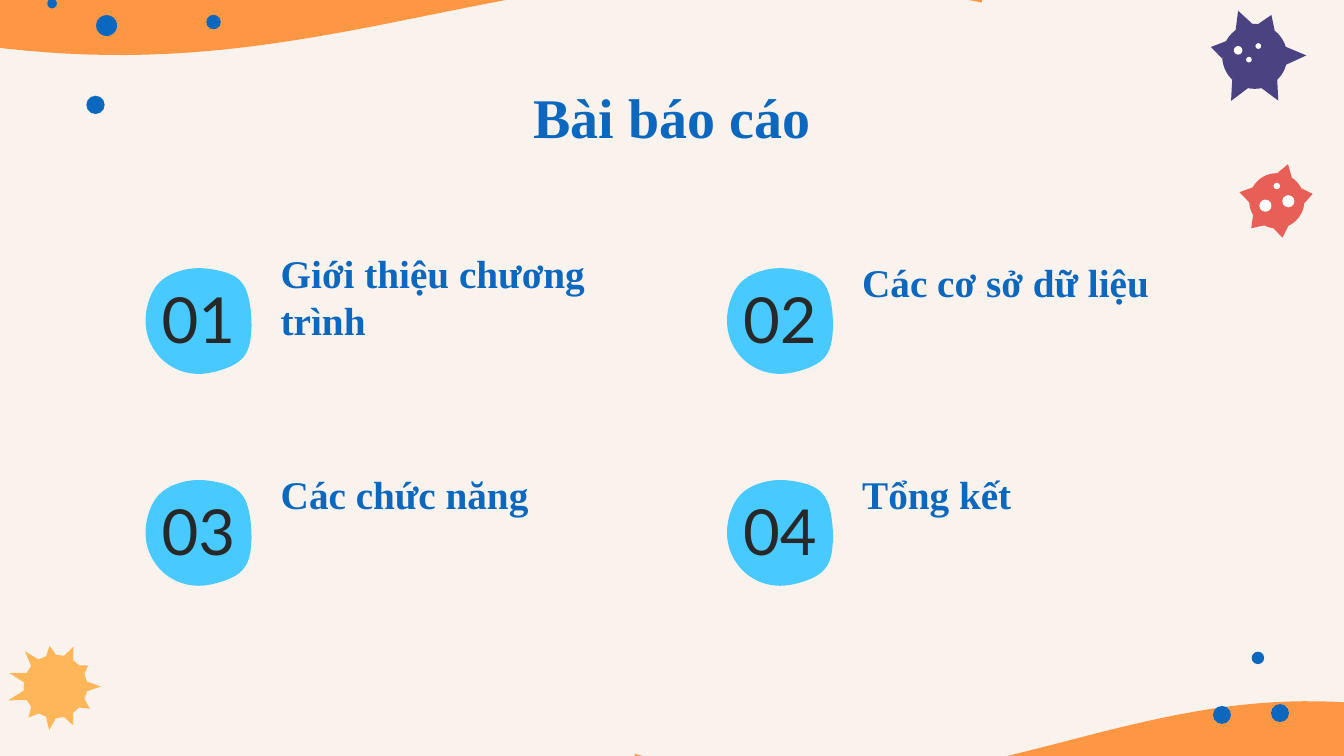
from dataclasses import dataclass
from math import cos, exp, pi, radians, sin

from pptx import Presentation
from pptx.dml.color import RGBColor
from pptx.enum.shapes import MSO_SHAPE as Preset
from pptx.enum.text import MSO_ANCHOR as Anchor, MSO_AUTO_SIZE as AutoSize, PP_ALIGN as Align
from pptx.util import Pt


@dataclass(frozen=True)
class Theme:
    """Colours, fonts and type sizes of the slide."""
    cream: str = "FAF2EC"
    orange: str = "FE9744"
    yellow: str = "FFB659"
    purple: str = "4B4381"
    red: str = "E85F57"
    white: str = "FFFFFF"
    sky: str = "48C9FF"
    blue: str = "0B68BE"
    ink: str = "292828"
    heading_font: str = "Times New Roman"
    number_font: str = "Lato"
    title_size: float = 30
    label_size: float = 21
    number_size: float = 34


theme = Theme()


def polar(center, radius, degrees):
    """Return the point at a distance and clockwise angle from a center."""
    angle = radians(degrees)
    return center[0] + radius * cos(angle), center[1] + radius * sin(angle)


def write(shape, text, box, size, font=theme.heading_font, color=theme.blue, bold=True, align=Align.LEFT):
    """Place a text shape and fill it with one formatted paragraph."""
    shape.left, shape.top, shape.width, shape.height = map(Pt, box)
    frame = shape.text_frame
    frame.word_wrap = True
    frame.auto_size = AutoSize.NONE
    frame.vertical_anchor = Anchor.MIDDLE
    frame.margin_left = frame.margin_right = frame.margin_top = frame.margin_bottom = Pt(7.2)
    paragraph = frame.paragraphs[0]
    paragraph.alignment = align
    run = paragraph.add_run()
    run.text = text
    run.font.name, run.font.size, run.font.bold = font, Pt(size), bold
    run.font.color.rgb = RGBColor.from_string(color)


presentation = Presentation()
presentation.slide_width, presentation.slide_height = Pt(720), Pt(405)
slide = presentation.slides.add_slide(presentation.slide_layouts[5])
slide.background.fill.solid()
slide.background.fill.fore_color.rgb = RGBColor.from_string(theme.cream)

outlines = []  # (color, corner points)
discs = []  # (color, center, diameter)

# Waves: a cosine edge, closed by a straight side beyond the slide.
waves = [
    dict(left=-114, right=526, outer=-32, crest=64, half_length=331, middle=8.2, height=21.3),
    dict(left=340, right=840, outer=437, crest=701, half_length=259, middle=397, height=-21.3),
]
wave_steps = 60
for wave in waves:
    left, right = wave["left"], wave["right"]
    edge = []
    for step in range(wave_steps + 1):
        x = left + (right - left) * step / wave_steps
        phase = pi * (x - wave["crest"]) / wave["half_length"]
        edge.append((x, wave["middle"] + wave["height"] * cos(phase)))
    outlines.append((theme.orange, edge + [(right, wave["outer"]), (left, wave["outer"])]))

# Sun: equally spaced rays of uneven reach around a round body.
sun_center, sun_radius, ray_half_width = (29.7, 367.8), 17, 9
ray_reaches = [24.3, 22, 22.9, 23.6, 22.1, 26.4, 25.7, 25, 22, 23.4, 20.8]
sun_outline = []
for index, reach in enumerate(ray_reaches):
    angle = index * 360 / len(ray_reaches)
    sun_outline += [
        polar(sun_center, sun_radius, angle - ray_half_width),
        polar(sun_center, reach, angle),
        polar(sun_center, sun_radius, angle + ray_half_width),
    ]
outlines.append((theme.yellow, sun_outline))

# Germs: a disc with pointed spikes (angle, reach) and white spots (offset x, offset y, diameter).
germs = [
    dict(color=theme.purple, center=(672.2, 30.2), radius=17.4,
         spikes=[(-1, 27.6), (62, 26.9), (118, 27), (192, 24), (250, 26), (292, 23.9)],
         spots=[(-8.9, -3.2, 4.6), (1.9, -5.5, 3), (-3.1, 1.8, 3)]),
    dict(color=theme.red, center=(684, 107.6), radius=14.8,
         spikes=[(-11, 19.6), (81, 20), (133, 20.1), (193, 20.5), (287, 20.5)],
         spots=[(-6.1, 2.6, 6.5), (6.2, 0.2, 6.5), (0, -7.9, 3.4)]),
]
spike_half_width = 16
for germ in germs:
    center, radius = germ["center"], germ["radius"]
    for angle, reach in germ["spikes"]:
        outlines.append((germ["color"], [
            polar(center, radius, angle - spike_half_width),
            polar(center, reach, angle),
            polar(center, radius, angle + spike_half_width),
        ]))
    discs.append((germ["color"], center, 2 * radius))
    for dx, dy, diameter in germ["spots"]:
        discs.append((theme.white, (center[0] + dx, center[1] + dy), diameter))

# Blobs: a circle that swells softly at three corners (angle, swell), one per section.
column_pitch, row_pitch = 311.5, 113.5
cells = [(column * column_pitch, row * row_pitch) for row in range(2) for column in range(2)]
blob_radius, swell_width = 28.3, 22
blob_corners = [(38, 2.6), (225, 1.1), (316, 2.8)]
for x, y in cells:
    blob = []
    for angle in range(0, 360, 5):
        swell = sum(size * exp(-((angle - corner) / swell_width) ** 2) for corner, size in blob_corners)
        blob.append(polar((106.3 + x, 172 + y), blob_radius + swell, angle))
    outlines.append((theme.sky, blob))

# Loose dots: center x, center y, diameter.
loose_dots = [
    (27.9, 1.9, 5.2), (57.1, 13.7, 11.2), (114.4, 11.8, 7.8), (51.2, 56.2, 9.8),
    (673.9, 352.5, 6.7), (654.6, 383, 9.6), (685.7, 382, 9.6),
]
discs += [(theme.blue, (x, y), diameter) for x, y, diameter in loose_dots]

# Draw outlines behind discs, then paint everything alike.
painted = []
for color, points in outlines:
    corners = [(Pt(x), Pt(y)) for x, y in points]
    builder = slide.shapes.build_freeform(*corners[0])
    builder.add_line_segments(corners[1:], close=True)
    painted.append((builder.convert_to_shape(), color))
for color, (x, y), diameter in discs:
    corner = Pt(x - diameter / 2), Pt(y - diameter / 2)
    painted.append((slide.shapes.add_shape(Preset.OVAL, *corner, Pt(diameter), Pt(diameter)), color))
for shape, color in painted:
    shape.shadow.inherit = False
    shape.fill.solid()
    shape.fill.fore_color.rgb = RGBColor.from_string(color)
    shape.line.fill.background()

# Title and numbered sections.
write(slide.shapes.title, "Bài báo cáo", (101.5, 42.5, 517, 39.6), theme.title_size, align=Align.CENTER)

sections = [  # label, top of its box
    ("Giới thiệu chương trình", 141.5),
    ("Các cơ sở dữ liệu", 133.9),
    ("Các chức năng", 247),
    ("Tổng kết", 247),
]
for number, ((label, label_top), (x, y)) in enumerate(zip(sections, cells), start=1):
    number_box = slide.shapes.add_textbox(0, 0, 0, 0)
    write(number_box, f"{number:02d}", (62.7 + x, 146.9 + y, 87.1, 46.8), theme.number_size,
          font=theme.number_font, color=theme.ink, bold=False, align=Align.CENTER)
    label_box = slide.shapes.add_textbox(0, 0, 0, 0)
    write(label_box, label, (143.3 + x, label_top, 214.6, 34.6), theme.label_size)

presentation.save("out.pptx")
